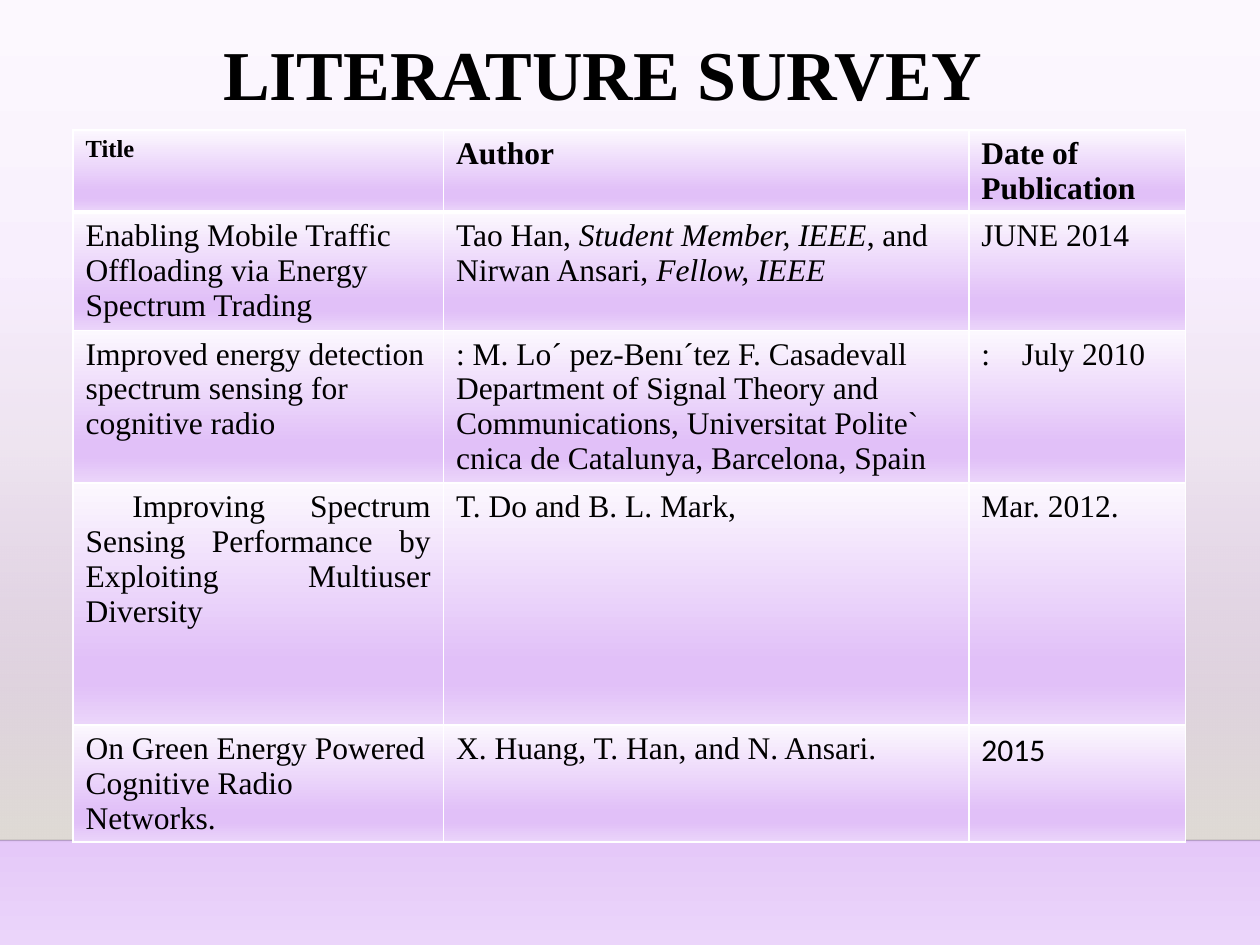
from lxml import etree
from pptx import Presentation
from pptx.dml.color import RGBColor
from pptx.enum.shapes import MSO_CONNECTOR, MSO_SHAPE
from pptx.enum.text import MSO_ANCHOR, MSO_AUTO_SIZE, PP_ALIGN
from pptx.oxml.ns import qn
from pptx.util import Inches, Pt

LINE, RECTANGLE = MSO_CONNECTOR.STRAIGHT, MSO_SHAPE.RECTANGLE
BOTTOM, NO_FIT, JUSTIFY = MSO_ANCHOR.BOTTOM, MSO_AUTO_SIZE.NONE, PP_ALIGN.JUSTIFY

BLACK = RGBColor(0x00, 0x00, 0x00)
WHITE = RGBColor(0xFF, 0xFF, 0xFF)
MIST = RGBColor(0xFC, 0xF8, 0xFE)
PALE = RGBColor(0xF5, 0xE9, 0xFC)
LILAC = RGBColor(0xE1, 0xC0, 0xF8)
LAVENDER = RGBColor(0xEB, 0xD5, 0xFA)
STONE = RGBColor(0xDF, 0xDB, 0xD5)

CELL_STOPS = [(0, MIST, 100), (74, LILAC, 100), (83, LILAC, 100), (100, LAVENDER, 100)]
PAGE_STOPS = CELL_STOPS[:1] + [(47, PALE, 100)] + CELL_STOPS[1:]
WALL_STOPS = [(0, STONE, 0), (100, STONE, 100)]

SERIF, SANS = "Times New Roman", "Calibri"
COLUMNS = [2.94, 4.17, 1.72]
ROWS = [0.64, 0.94, 1.21, 1.92, 0.66]
FLOOR = 6.67
# A cell is a list of (text, italic) spans, or a plain string.
SURVEY = [
    ["Title", "Author", "Date of Publication"],
    ["Enabling Mobile Traffic Offloading via Energy Spectrum Trading",
     [("Tao Han, ", False), ("Student Member, IEEE", True),
      (", and Nirwan Ansari, ", False), ("Fellow, IEEE", True)],
     "JUNE 2014"],
    ["Improved energy detection spectrum sensing for cognitive radio",
     ": M. Lo´ pez-Benı´tez F. Casadevall Department of Signal Theory and "
     "Communications, Universitat Polite` cnica de Catalunya, Barcelona, Spain",
     ":\tJuly 2010"],
    ["Improving Spectrum Sensing Performance by Exploiting Multiuser Diversity",
     "T. Do and B. L. Mark,", "Mar. 2012."],
    ["On Green Energy Powered Cognitive Radio Networks.",
     "X. Huang, T. Han, and N. Ansari.", "2015"],
]


def add_color(parent, color, opacity=100):
    """Append a colour element with its opacity in percent."""
    node = etree.SubElement(parent, qn("a:srgbClr"), val=str(color))
    if opacity < 100:
        etree.SubElement(node, qn("a:alpha"), val=str(opacity * 1000))


def shade(fill, element, stops):
    """Give a fill a gradient running from top to bottom."""
    fill.gradient()
    fill.gradient_angle = 270
    stop_list = next(element.iter(qn("a:gsLst")))
    for old in list(stop_list):
        stop_list.remove(old)
    for position, color, opacity in stops:
        stop = etree.SubElement(stop_list, qn("a:gs"), pos=str(position * 1000))
        add_color(stop, color, opacity)


def edge_cell(cell, top, bottom):
    """Draw white borders round a cell; top and bottom are widths in points."""
    properties = cell._tc.get_or_add_tcPr()
    widths = [("a:lnL", 1), ("a:lnR", 1), ("a:lnT", top), ("a:lnB", bottom)]
    for index, (tag, width) in enumerate(widths):
        border = etree.Element(qn(tag), w=str(Pt(width)))
        add_color(etree.SubElement(border, qn("a:solidFill")), WHITE)
        properties.insert(index, border)


class SurveySlide:
    """Holds the deck, the page and the text style."""

    def __init__(self):
        """Open a title-only page of 10 by 7.5 inches."""
        self.deck = Presentation()
        self.deck.slide_width, self.deck.slide_height = Inches(10), Inches(7.5)
        self.page = self.deck.slides.add_slide(self.deck.slide_layouts[5])
        shade(self.page.background.fill, self.page.element, PAGE_STOPS)

    def style(self, para, size, bold=False, name=SERIF):
        """Set the font of a paragraph."""
        font = para.font
        font.name, font.size, font.bold = name, Pt(size), bold
        font.color.rgb = BLACK

    def title(self, text, left, top, width, height):
        """Place and format the title."""
        box = self.page.shapes.title
        box.left, box.top = Inches(left), Inches(top)
        box.width, box.height = Inches(width), Inches(height)
        frame = box.text_frame
        frame.text, frame.word_wrap = text, True
        frame.auto_size, frame.vertical_anchor = NO_FIT, BOTTOM
        frame.paragraphs[0].alignment = JUSTIFY
        self.style(frame.paragraphs[0], 40, bold=True)

    def wall(self, top, bottom):
        """Add the fading band across the page."""
        band = self.page.shapes.add_shape(
            RECTANGLE, 0, Inches(top), self.deck.slide_width, Inches(bottom - top))
        band.shadow.inherit = False
        band.line.fill.background()
        shade(band.fill, band.element, WALL_STOPS)

    def rule(self, top):
        """Add a faint line across the page."""
        line = self.page.shapes.add_connector(
            LINE, 0, Inches(top), self.deck.slide_width, Inches(top))
        line.line.width = Pt(1)
        line.line.color.rgb = BLACK
        color = next(line.element.spPr.iter(qn("a:srgbClr")))
        etree.SubElement(color, qn("a:alpha"), val="20000")
        etree.SubElement(line.element.spPr, qn("a:effectLst"))

    def table(self, left, top):
        """Add the survey table and return it."""
        frame = self.page.shapes.add_table(
            len(ROWS), len(COLUMNS), Inches(left), Inches(top),
            Inches(sum(COLUMNS)), Inches(sum(ROWS)))
        table = frame.table
        for column, width in zip(table.columns, COLUMNS):
            column.width = Inches(width)
        for row, height in zip(table.rows, ROWS):
            row.height = Inches(height)
        for r, entries in enumerate(SURVEY):
            for c, entry in enumerate(entries):
                self.cell(table.cell(r, c), entry, r)
        return table

    def cell(self, cell, entry, row):
        """Fill and format one cell."""
        shade(cell.fill, cell._tc, CELL_STOPS)
        edge_cell(cell, 3 if row == 1 else 1, 3 if row == 0 else 1)
        para = cell.text_frame.paragraphs[0]
        self.style(para, 18, bold=row == 0)
        for text, italic in [(entry, False)] if isinstance(entry, str) else entry:
            span = para.add_run()
            span.text, span.font.italic = text, italic


slide = SurveySlide()
slide.wall(2.2, FLOOR - 0.01)
slide.rule(FLOOR)
survey = slide.table(0.58, 1.03)
slide.title("LITERATURE SURVEY", 1.67, 0.19, 6.33, 0.77)

heading, july, improving, year = [
    survey.cell(r, c).text_frame.paragraphs[0]
    for r, c in [(0, 0), (2, 2), (3, 0), (4, 2)]]
slide.style(heading, 14, bold=True)
slide.style(year, 18, name=SANS)
improving.alignment = JUSTIFY
improving._p.get_or_add_pPr().set("indent", str(Inches(0.37)))
tabs = etree.Element(qn("a:tabLst"))
etree.SubElement(tabs, qn("a:tab"), pos=str(Inches(0.32)), algn="l")
july._p.get_or_add_pPr().insert(0, tabs)

slide.deck.save("out.pptx")
